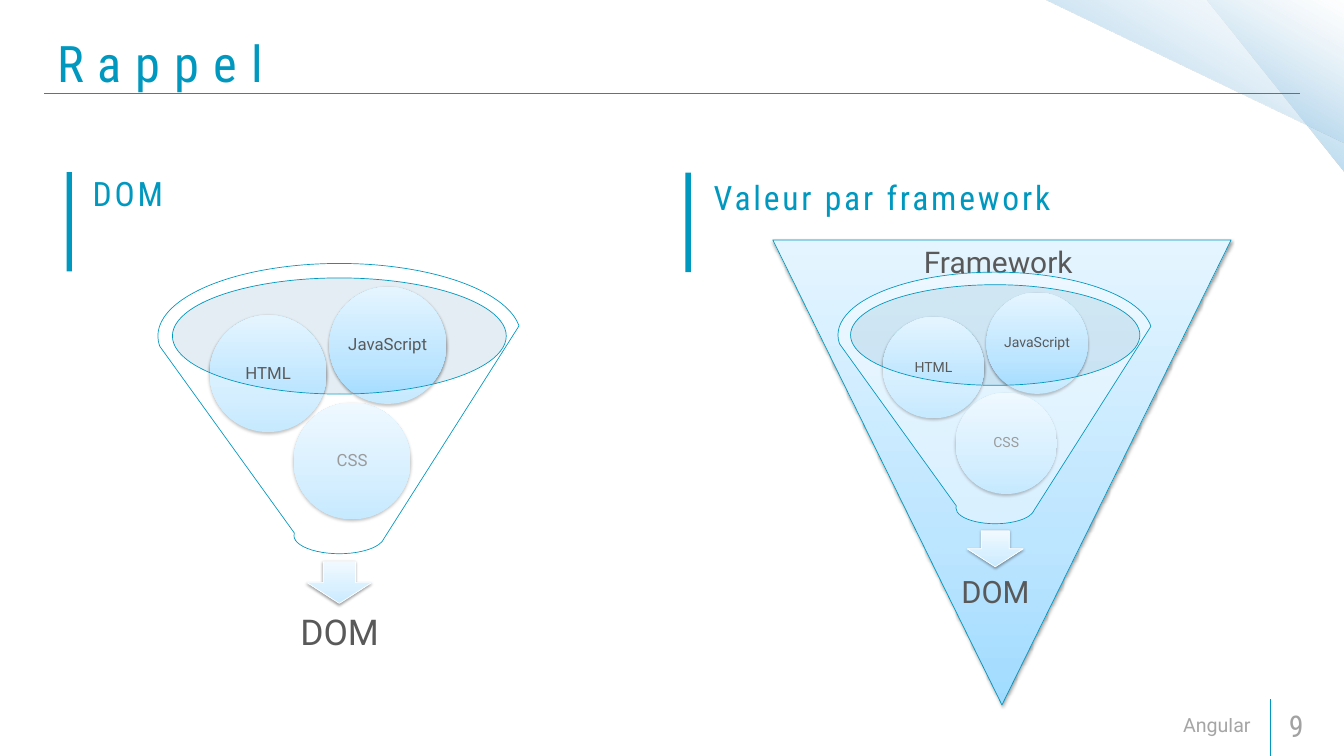
import pptx
import pptx.util
import pptx.dml.color
import pptx.enum.shapes
import pptx.enum.text
import pptx.oxml
import pptx.oxml.ns
from pptx.util import Inches

SHAPE = pptx.enum.shapes.MSO_SHAPE
ALIGN = pptx.enum.text.PP_ALIGN
ANCHOR = pptx.enum.text.MSO_ANCHOR
qn = pptx.oxml.ns.qn
NS = pptx.oxml.ns.nsdecls("a")

TEAL = "0098BF"
GREY = "595959"
SANS = "Roboto"
SLIM = "Roboto Condensed"
BLUE = [(0, "A0DBFF", 100), (35, "BCE5FF", 100), (100, "E5F5FF", 100)]
PALE = [(0, "C9EAFF", 100), (35, "D8F0FF", 100), (100, "F0F9FF", 100)]
SHEER = [(0, "8FC8E8", 100), (50, "A4CEE9", 44), (100, "DEEDF6", 0)]
BALLS = [("CSS", 2.02, 2.07), ("HTML", 0.77, 0.77), ("JavaScript", 2.55, 0.35)]


def tint(code):
    return pptx.dml.color.RGBColor.from_string(code)


def fade(owner, alpha):
    color = owner.find(qn("a:solidFill"))[0]
    color.append(pptx.oxml.parse_xml(f'<a:alpha {NS} val="{alpha * 1000}"/>'))


def blend(shape, stops, angle):
    shape.fill.gradient()
    marks = "".join(
        f'<a:gs pos="{pos * 1000}"><a:srgbClr val="{code}"><a:alpha val="{alpha * 1000}"/></a:srgbClr></a:gs>'
        for pos, code, alpha in stops)
    props = shape._element.spPr
    props.replace(props.find(qn("a:gradFill")), pptx.oxml.parse_xml(
        f'<a:gradFill {NS} rotWithShape="1"><a:gsLst>{marks}</a:gsLst>'
        f'<a:lin ang="{angle * 60000}" scaled="0"/></a:gradFill>'))


def shade(shape):
    shape._element.spPr.find(qn("a:effectLst")).append(pptx.oxml.parse_xml(
        f'<a:outerShdw {NS} blurRad="40000" dist="20000" dir="5400000" rotWithShape="0">'
        '<a:srgbClr val="000000"><a:alpha val="38000"/></a:srgbClr></a:outerShdw>'))


def draw(shapes, kind, box, fill, alpha=100, angle=270, edge=None, cast=False):
    shape = shapes.add_shape(kind, *map(Inches, box))
    shape.shadow.inherit = False
    if isinstance(fill, list):
        blend(shape, fill, angle)
    else:
        shape.fill.solid()
        shape.fill.fore_color.rgb = tint(fill)
        if alpha < 100:
            fade(shape._element.spPr, alpha)
    if edge:
        shape.line.color.rgb = tint(edge)
        shape.line.width = pptx.util.Pt(0.75)
    else:
        shape.line.fill.background()
    if cast:
        shade(shape)
    return shape


def rule(shapes, start, end):
    line = shapes.add_connector(pptx.enum.shapes.MSO_CONNECTOR.STRAIGHT,
                                *map(Inches, start + end))
    line.line.color.rgb = tint(TEAL)
    line.line.width = pptx.util.Pt(1)
    line._element.spPr.append(pptx.oxml.parse_xml(f"<a:effectLst {NS}/>"))


def write(shape, text, size, face, color, align=ALIGN.LEFT, anchor=ANCHOR.MIDDLE,
          inset=(0.18, 0.09), space=0, alpha=100, lead=1.0):
    frame = shape.text_frame
    frame.word_wrap = True
    frame.auto_size = pptx.enum.text.MSO_AUTO_SIZE.NONE
    frame.vertical_anchor = anchor
    frame.margin_left = frame.margin_right = Inches(inset[0])
    frame.margin_top = frame.margin_bottom = Inches(inset[1])
    para = frame.paragraphs[0]
    para.alignment = align
    para.line_spacing = lead
    para.space_before = pptx.util.Pt(0)
    run = para.add_run()
    run.text = text
    run.font.name = face
    run.font.size = pptx.util.Pt(size)
    run.font.bold = False
    run.font.color.rgb = tint(color)
    props = run._r.get_or_add_rPr()
    if space:
        props.set("spc", str(space * 100))
    if alpha < 100:
        fade(props, alpha)


def place(holder, box):
    holder.left, holder.top, holder.width, holder.height = map(Inches, box)
    return holder


def label(shapes, box, *args, **kwargs):
    write(shapes.add_textbox(*map(Inches, box)), *args, **kwargs)


def funnel(slide, left, top, scale, big, small):
    shapes = slide.shapes.add_group_shape().shapes

    def fit(x, y, width, height):
        return (left + x * scale, top + y * scale, width * scale, height * scale)

    draw(shapes, SHAPE.OVAL, fit(0.21, 0.21, 4.98, 1.73), "BDD4E2", alpha=40)
    draw(shapes, SHAPE.DOWN_ARROW, fit(2.22, 4.44, 0.96, 0.62), PALE,
         edge="FFFFFF", cast=True)
    label(shapes, fit(0.39, 4.94, 4.63, 1.16), "DOM", big, SANS, GREY,
          align=ALIGN.CENTER, inset=(0.3 * scale, 0.3 * scale), lead=0.9)
    for name, x, y in BALLS:
        ball = draw(shapes, SHAPE.OVAL, fit(x, y, 1.74, 1.74), BLUE, cast=True)
        write(ball, name, small, SANS, GREY, align=ALIGN.CENTER,
              inset=(0, 0), lead=0.9)
    draw(shapes, SHAPE.FUNNEL, fit(0, 0, 5.4, 4.32), "FFFFFF", alpha=40, edge=TEAL)


def frame(slide):
    shapes = slide.shapes
    for box in [(17.96, 0, 2.04, 2.57), (15.54, 0, 4.48, 2.13)]:
        draw(shapes, SHAPE.RIGHT_TRIANGLE, box, SHEER, angle=120).rotation = 180
    rule(shapes, (0.66, 1.39), (19.34, 1.39))
    rule(shapes, (18.91, 11.25), (18.91, 10.4))
    for left, top in [(0.99, 2.56), (10.2, 2.57)]:
        draw(shapes, SHAPE.RECTANGLE, (left, top, 0.08, 1.48), TEAL)
    label(shapes, (10.29, 10.49, 8.5, 0.6), "Angular", 21, SANS, "808080",
          align=ALIGN.RIGHT, alpha=70)
    label(shapes, (19, 10.49, 0.99, 0.6), "9", 32, SLIM, "A2A2A2")


def heads(slide):
    title, first, spare, second, extra = slide.placeholders
    for holder in (spare, extra):
        holder._element.getparent().remove(holder._element)
    write(place(title, (0.67, 0.31, 18.31, 1.23)), "Rappel", 54, SLIM, TEAL, space=15)
    for holder, left, top, text in [(first, 1.2, 2.13, "DOM"),
                                    (second, 10.44, 2.18, "Valeur par framework")]:
        write(place(holder, (left, top, 8.36, 1.14)), text, 36, SLIM, TEAL,
              anchor=ANCHOR.BOTTOM, space=3)


def main():
    deck = pptx.Presentation()
    deck.slide_width, deck.slide_height = Inches(20), Inches(11.25)
    slide = deck.slides.add_slide(deck.slide_layouts[4])
    frame(slide)
    heads(slide)
    funnel(slide, 2.35, 3.92, 1, 38, 18)
    wedge = draw(slide.shapes, SHAPE.FLOWCHART_MERGE, (11.5, 3.57, 6.82, 6.92), BLUE,
                 edge="0095BB", cast=True)
    write(wedge, "Framework ", 32, SANS, GREY, align=ALIGN.CENTER,
          anchor=ANCHOR.TOP, inset=(0.1, 0.05))
    funnel(slide, 12.47, 4.05, 13 / 15, 33, 15)
    deck.save("out.pptx")


if __name__ == "__main__":
    main()
